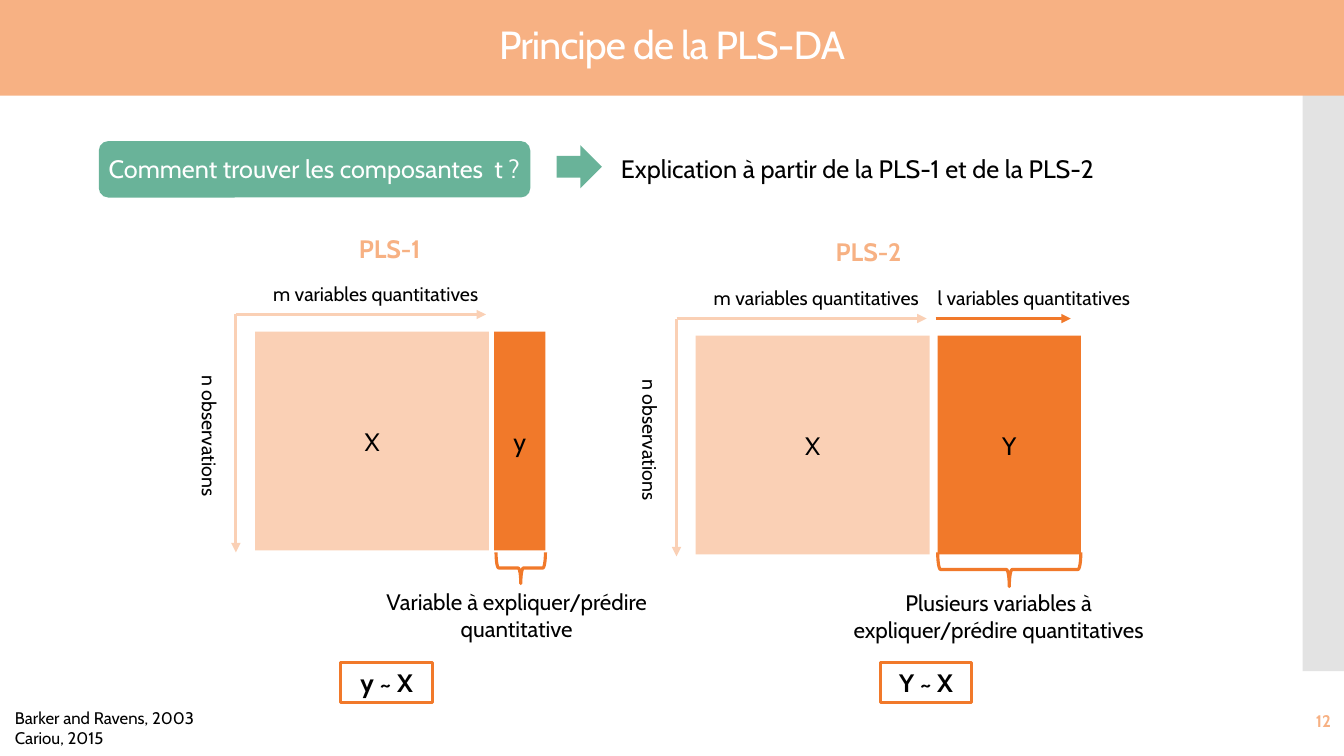
"""Build the slide that explains the principle of PLS-DA."""
from dataclasses import dataclass

from lxml.etree import SubElement
from pptx import Presentation
from pptx.dml.color import RGBColor
from pptx.enum.shapes import MSO_CONNECTOR as Connector
from pptx.enum.shapes import MSO_SHAPE as Preset
from pptx.enum.text import MSO_ANCHOR as Anchor
from pptx.enum.text import PP_ALIGN as Align
from pptx.oxml.ns import qn
from pptx.util import Inches, Pt

FONT = "Cabin"
PEACH, PALE, ORANGE = "F7B183", "FAD0B5", "F1792A"
GREEN, GREY, WHITE, BLACK = "69B399", "C8C8C8", "FFFFFF", "000000"


@dataclass(frozen=True)
class Frame:
    left: float
    top: float
    width: float
    height: float
    rotation: float = 0


@dataclass(frozen=True)
class Style:
    size: float = 18
    color: str = BLACK
    bold: bool = False
    align: Align = Align.LEFT
    anchor: Anchor = Anchor.TOP
    line_spacing: float = 1.0
    tracking: int = 0


@dataclass(frozen=True)
class Panel:
    title: str
    title_frame: Frame
    left: float
    top: float
    response: str
    response_left: float
    response_width: float
    brace: Frame
    caption: str
    caption_frame: Frame
    formula_left: float


BODY = Style()
LABEL = Style(14)
CENTERED = Style(align=Align.CENTER, anchor=Anchor.MIDDLE)
HEADING = Style(color=PEACH, bold=True)
CAPTION = Style(16, align=Align.CENTER)
FORMULA = Style(bold=True, align=Align.CENTER)

PANELS = (
    Panel("PLS-1", Frame(3.46, 2.27, 0.88, 0.4), 2.53, 3.29, "y", 4.9, 0.51,
          Frame(5.01, 5.39, 0.31, 0.49, 90),
          "Variable à expliquer/prédire quantitative",
          Frame(3.58, 5.79, 3.09, 0.64), 3.38),
    Panel("PLS-2", Frame(8.19, 2.3, 0.88, 0.4), 6.9, 3.33, "Y", 9.3, 1.42,
          Frame(9.84, 4.94, 0.34, 1.42, 90),
          "Plusieurs variables à expliquer/prédire quantitatives",
          Frame(8.36, 5.8, 3.09, 0.64), 8.73),
)


def rgb(color: str) -> RGBColor:
    return RGBColor.from_string(color)


def place(frame: Frame) -> tuple:
    return tuple(Inches(v) for v in (frame.left, frame.top, frame.width, frame.height))


def write(box, lines: tuple[str, ...], style: Style) -> None:
    text = box.text_frame
    text.word_wrap = True
    text.vertical_anchor = style.anchor
    for index, line in enumerate(lines):
        para = text.add_paragraph() if index else text.paragraphs[0]
        para.alignment = style.align
        para.line_spacing = style.line_spacing
        span = para.add_run()
        span.text = line
        span.font.name = FONT
        span.font.size = Pt(style.size)
        span.font.bold = style.bold
        span.font.color.rgb = rgb(style.color)
        if style.tracking:
            span.font._element.set("spc", str(style.tracking))


def add_text(shapes, frame: Frame, style: Style, *lines: str) -> None:
    box = shapes.add_textbox(*place(frame))
    box.rotation = frame.rotation
    write(box, lines, style)


def add_block(shapes, preset: Preset, frame: Frame, fill: str = "", line: str = "",
              text: str = "", style: Style = CENTERED):
    block = shapes.add_shape(preset, *place(frame))
    block.shadow.inherit = False
    block.rotation = frame.rotation
    if fill:
        block.fill.solid()
        block.fill.fore_color.rgb = rgb(fill)
    else:
        block.fill.background()
    if line:
        block.line.color.rgb = rgb(line)
        block.line.width = Pt(2.25)
    else:
        block.line.fill.background()
    if text:
        write(block, (text,), style)
    return block


def add_arrow(shapes, left: float, top: float, right: float, bottom: float,
              color: str) -> None:
    ends = (Inches(v) for v in (left, top, right, bottom))
    arrow = shapes.add_connector(Connector.STRAIGHT, *ends)
    arrow.line.color.rgb = rgb(color)
    arrow.line.width = Pt(2.25)
    SubElement(arrow.line._get_or_add_ln(), qn("a:tailEnd"), type="triangle")
    SubElement(arrow._element.spPr, qn("a:effectLst"))


def add_panel(shapes, panel: Panel) -> None:
    left, top = panel.left, panel.top
    axis_left, axis_top = left - 0.19, top - 0.17
    add_block(shapes, Preset.RECTANGLE, Frame(left, top, 2.32, 2.17), PALE, text="X")
    add_block(shapes, Preset.RECTANGLE,
              Frame(panel.response_left, top, panel.response_width, 2.17),
              ORANGE, text=panel.response)
    add_arrow(shapes, axis_left, axis_top, left + 2.29, axis_top, PALE)
    add_arrow(shapes, axis_left, axis_top, axis_left, top + 2.19, PALE)
    add_text(shapes, Frame(left + 0.08, top - 0.54, 2.39, 0.34), LABEL,
             "m variables quantitatives")
    add_text(shapes, Frame(left - 1.2, top + 0.91, 1.49, 0.34, 90), LABEL,
             "n observations")
    add_text(shapes, panel.title_frame, HEADING, panel.title)
    add_text(shapes, panel.caption_frame, CAPTION, panel.caption)
    add_block(shapes, Preset.RIGHT_BRACE, panel.brace, line=ORANGE)
    add_block(shapes, Preset.RECTANGLE, Frame(panel.formula_left, 6.57, 0.91, 0.4),
              line=ORANGE, text=f"{panel.response} ~ X", style=FORMULA)


def main() -> None:
    deck = Presentation()
    deck.slide_width, deck.slide_height = Inches(13.33), Inches(7.5)
    page = deck.slides.add_slide(deck.slide_layouts[6])
    shapes = page.shapes

    strip = add_block(shapes, Preset.RECTANGLE, Frame(12.92, 0.83, 0.41, 5.83), GREY)
    strip_color = strip.fill._xPr.find(qn("a:solidFill"))[0]
    SubElement(strip_color, qn("a:alpha"), val="50000")
    add_block(shapes, Preset.RECTANGLE, Frame(0, 0, 13.33, 0.95), PEACH)
    add_text(shapes, Frame(0, 0, 13.33, 0.93),
             Style(28, WHITE, align=Align.CENTER, anchor=Anchor.MIDDLE,
                   line_spacing=0.9, tracking=-60),
             "Principe de la PLS-DA")
    add_text(shapes, Frame(0.05, 6.97, 2.4, 0.5), Style(12),
             "Barker and Ravens, 2003", "Cariou, 2015")

    add_block(shapes, Preset.ROUNDED_RECTANGLE, Frame(0.98, 1.4, 4.28, 0.56), GREEN)
    add_text(shapes, Frame(0.98, 1.47, 4.28, 0.4), Style(color=WHITE),
             "Comment trouver les composantes  t ?")
    add_block(shapes, Preset.RIGHT_ARROW, Frame(5.52, 1.44, 0.45, 0.43), GREEN)
    add_text(shapes, Frame(6.06, 1.47, 4.91, 0.4), BODY,
             "Explication à partir de la PLS-1 et de la PLS-2")

    for panel in PANELS:
        add_panel(shapes.add_group_shape().shapes, panel)
    add_arrow(shapes, 9.28, 3.16, 10.62, 3.16, ORANGE)
    add_text(shapes, Frame(9.2, 2.79, 2.39, 0.34), LABEL, "l variables quantitatives")
    add_text(shapes, Frame(11.63, 6.95, 1.67, 0.4),
             Style(12, PEACH, True, Align.RIGHT, Anchor.MIDDLE), "12")
    deck.save("out.pptx")


if __name__ == "__main__":
    main()
